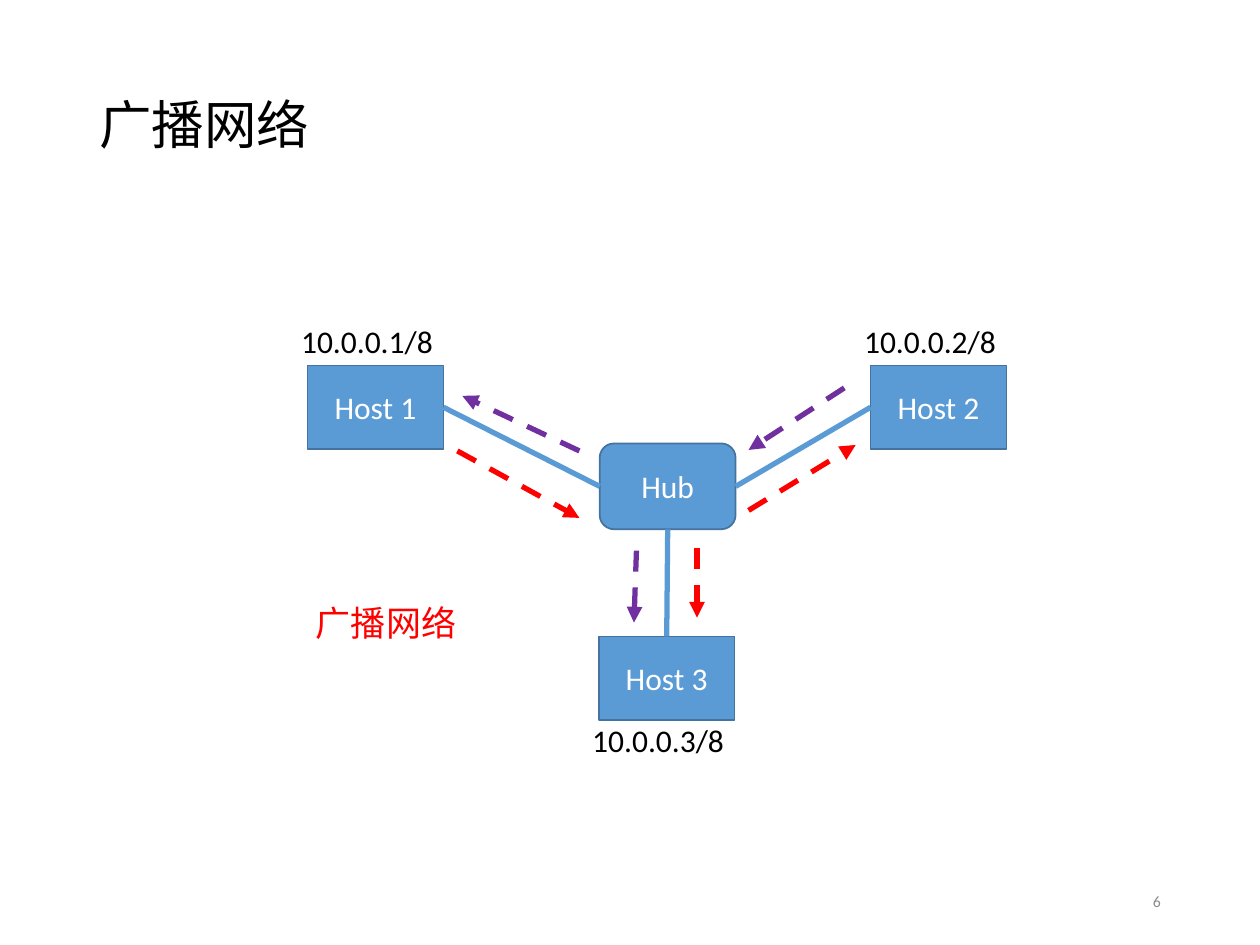
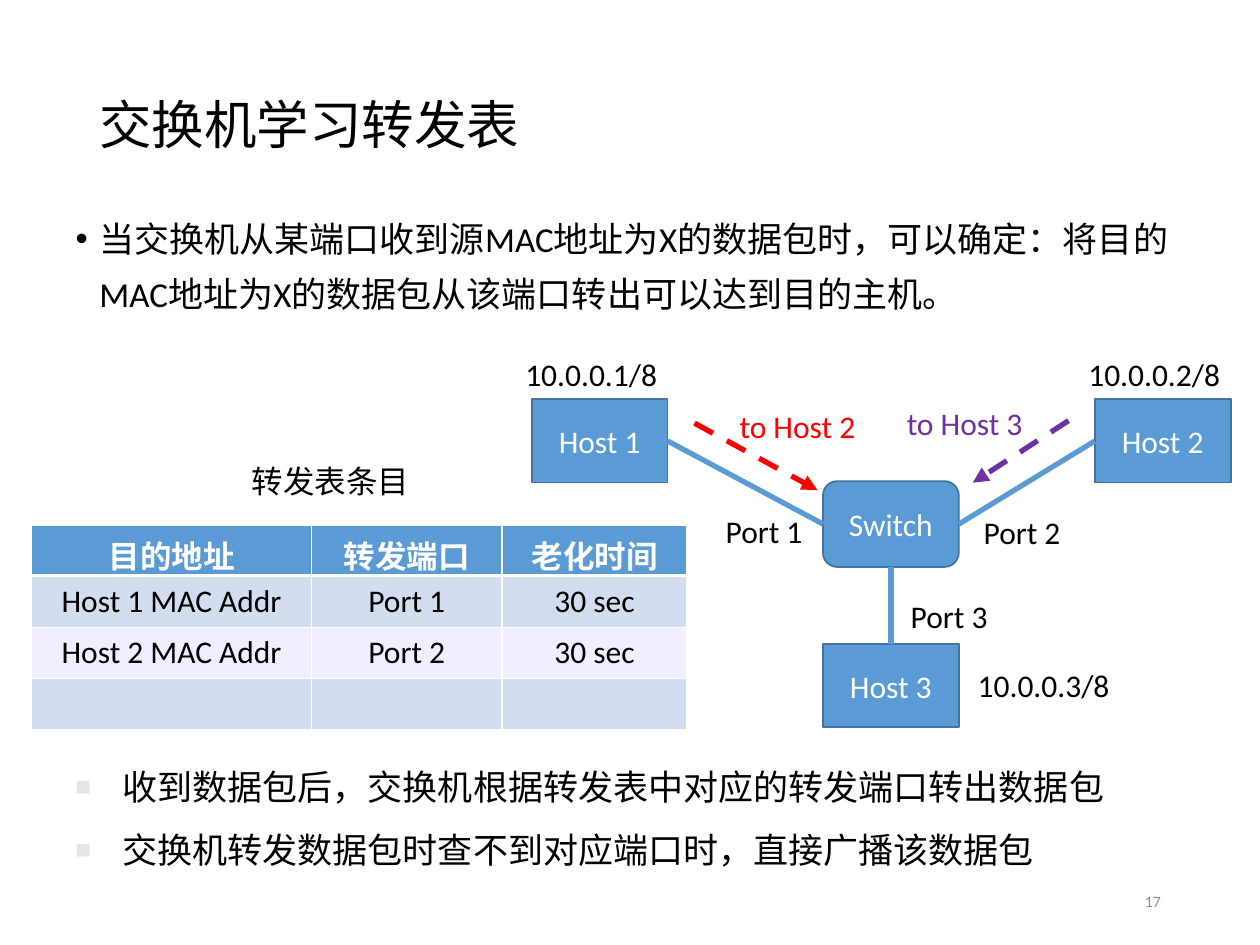
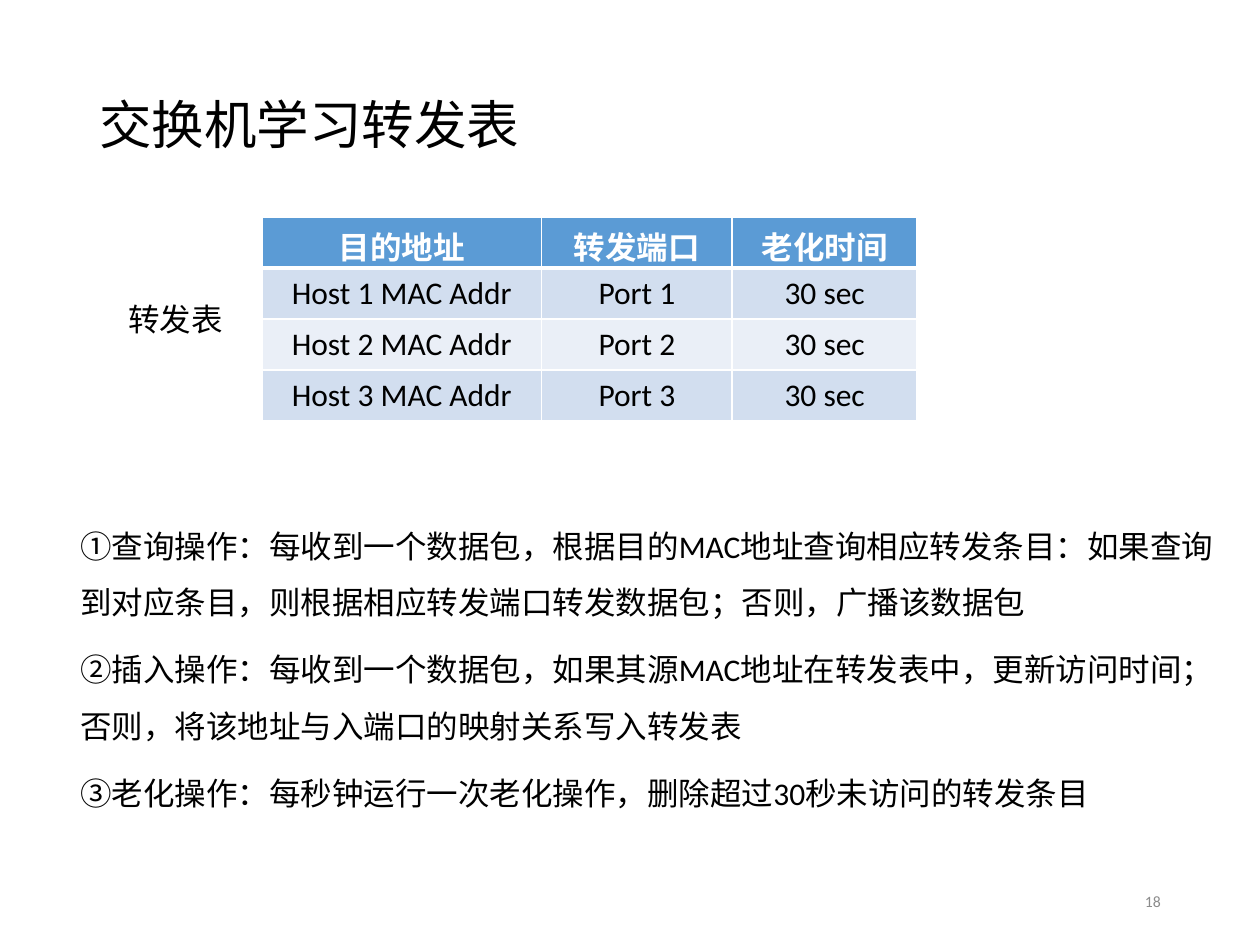
from dataclasses import dataclass

from lxml.etree import SubElement
from pptx import Presentation
from pptx.dml.color import RGBColor
from pptx.enum.dml import MSO_LINE
from pptx.enum.shapes import MSO_CONNECTOR, MSO_SHAPE
from pptx.enum.text import MSO_ANCHOR, MSO_AUTO_SIZE, PP_ALIGN
from pptx.oxml import parse_xml
from pptx.oxml.ns import nsdecls, qn
from pptx.util import Cm, Pt


@dataclass(frozen=True)
class Theme:
    font: str = "Calibri"
    black: str = "000000"
    white: str = "FFFFFF"
    blue: str = "5B9BD5"
    outline: str = "43739E"
    red: str = "FF0000"
    purple: str = "7030A0"
    grey: str = "8C8C8C"
    bullet: str = "E7E6E6"
    band_dark: str = "D2DEEF"
    band_light: str = "EAEFF7"
    band_lilac: str = "EFEFFF"
    title_size: int = 30
    body_size: int = 20
    label_size: int = 18
    number_size: int = 9


THEME = Theme()

# Shared places, in centimetres: left, top, width, height
TITLE_BOX = (1.75, 1.02, 21.89, 3.12)
NUMBER_BOX = (17.93, 17.65, 5.72, 1.02)
HOST_SIZE = (2.74, 1.68)
CENTRE_SIZE = (2.74, 1.73)
ADDRESS_WIDTH = 3.2
LABEL_HEIGHT = 1.02
COLUMN_WIDTHS = (5.64, 3.84, 3.73)
ROW_HEIGHT = 1.03

# Content: hosts are name, address, position, offset of the address
BROADCAST_NETWORK = {
    "centre": ("Hub", (12.09, 8.94)),
    "hosts": [
        ("Host 1", "10.0.0.1/8", (6.2, 7.37), (-0.38, -1.0)),
        ("Host 2", "10.0.0.2/8", (17.55, 7.37), (-0.38, -1.0)),
        ("Host 3", "10.0.0.3/8", (12.07, 12.83), (-0.38, 1.58)),
    ],
    "arrows": {
        THEME.red: [(9.22, 9.09, 11.68, 10.44), (15.09, 10.29, 17.25, 8.97),
                    (14.05, 11.05, 14.05, 12.45)],
        THEME.purple: [(17.02, 7.82, 15.09, 9.07), (12.83, 11.1, 12.78, 12.55),
                       (11.68, 9.09, 9.32, 7.98)],
    },
}
SWITCH_NETWORK = {
    "centre": ("Switch", (16.59, 9.7)),
    "hosts": [
        ("Host 1", "10.0.0.1/8", (10.72, 8.05), (-0.38, -1.02)),
        ("Host 2", "10.0.0.2/8", (22.07, 8.05), (-0.38, -1.02)),
        ("Host 3", "10.0.0.3/8", (16.59, 12.98), (2.87, 0.33)),
    ],
    "arrows": {
        THEME.red: [(14.0, 8.53, 16.48, 9.88)],
        THEME.purple: [(21.54, 8.48, 19.61, 9.73)],
    },
}
# Labels are text, left, top, width, colour
SWITCH_LABELS = [
    ("to Host 2", 14.66, 8.08, 2.87, THEME.red),
    ("to Host 3", 18.03, 8.03, 2.87, THEME.purple),
    ("Port 1", 14.38, 10.19, 2.08, THEME.black),
    ("Port 2", 19.58, 10.21, 2.08, THEME.black),
    ("Port 3", 18.11, 11.91, 2.08, THEME.black),
    ("转发表条目", 4.83, 9.19, 3.71, THEME.black),
]
LEARNING_TITLE = "交换机学习转发表"
LEARNING_RULE = ("当交换机从某端口收到源MAC地址为X的数据包时，可以确定："
                 "将目的MAC地址为X的数据包从该端口转出可以达到目的主机。")
FORWARDING_RULES = [
    "收到数据包后，交换机根据转发表中对应的转发端口转出数据包",
    "交换机转发数据包时查不到对应端口时，直接广播该数据包",
]
TABLE_HEADER = ("目的地址", "转发端口", "老化时间")
TABLE_ENTRIES = [(f"Host {n} MAC Addr", f"Port {n}", "30 sec") for n in (1, 2, 3)]
EMPTY_ENTRY = ("", "", "")
TABLE_BANDS = [THEME.blue, THEME.band_dark, THEME.band_light, THEME.band_dark]
OPERATIONS = [
    "①查询操作：每收到一个数据包，根据目的MAC地址查询相应转发条目："
    "如果查询到对应条目，则根据相应转发端口转发数据包；否则，广播该数据包",
    "②插入操作：每收到一个数据包，如果其源MAC地址在转发表中，更新访问时间；"
    "否则，将该地址与入端口的映射关系写入转发表",
    "③老化操作：每秒钟运行一次老化操作，删除超过30秒未访问的转发条目",
]


# Text
def rgb(colour):
    return RGBColor.from_string(colour)


def place(shape, box):
    shape.left, shape.top, shape.width, shape.height = (Cm(value) for value in box)


def write(frame, lines, size=THEME.label_size, colour=THEME.black, bold=False,
          align=PP_ALIGN.LEFT, line_spacing=1.0, space_before=0):
    for index, line in enumerate(lines):
        paragraph = frame.add_paragraph() if index else frame.paragraphs[0]
        paragraph.text = line
        paragraph.alignment = align
        paragraph.line_spacing = line_spacing
        paragraph.space_before = Pt(space_before)
        font = paragraph.font
        font.name, font.size, font.bold = THEME.font, Pt(size), bold
        font.color.rgb = rgb(colour)


def add_text(slide, lines, box, wrap=True, **style):
    frame = slide.shapes.add_textbox(*(Cm(value) for value in box)).text_frame
    frame.word_wrap = wrap
    write(frame, lines, **style)
    return frame


def add_label(slide, text, left, top, width, colour=THEME.black,
              size=THEME.label_size, height=LABEL_HEIGHT):
    add_text(slide, [text], (left, top, width, height), wrap=False,
             colour=colour, size=size)


def set_bullets(frame, character, indent, colour=None, percent=100):
    for paragraph in frame.paragraphs:
        properties = paragraph._p.get_or_add_pPr()
        properties.set("marL", str(Cm(indent)))
        properties.set("indent", str(-Cm(indent)))
        parts = [f'<a:buSzPct {nsdecls("a")} val="{percent * 1000}"/>',
                 f'<a:buFont {nsdecls("a")} typeface="Arial"/>',
                 f'<a:buChar {nsdecls("a")} char="{character}"/>']
        if colour:
            parts.insert(0, f'<a:buClr {nsdecls("a")}><a:srgbClr val="{colour}"/></a:buClr>')
        defaults = properties.find(qn("a:defRPr"))
        for part in parts:
            defaults.addprevious(parse_xml(part))


# Slide frame
def add_slide(presentation, title, number, layout="Title Only"):
    slide = presentation.slides.add_slide(presentation.slide_layouts.get_by_name(layout))
    place(slide.shapes.title, TITLE_BOX)
    frame = slide.shapes.title.text_frame
    frame.vertical_anchor = MSO_ANCHOR.MIDDLE
    write(frame, [title], size=THEME.title_size, line_spacing=0.9)
    number_frame = add_text(slide, [str(number)], NUMBER_BOX, size=THEME.number_size,
                            colour=THEME.grey, align=PP_ALIGN.RIGHT)
    number_frame.vertical_anchor = MSO_ANCHOR.MIDDLE
    return slide


# Network diagram
def add_node(slide, name, position, size, kind=MSO_SHAPE.RECTANGLE):
    node = slide.shapes.add_shape(kind, *(Cm(value) for value in position + size))
    node.shadow.inherit = False
    node.fill.solid()
    node.fill.fore_color.rgb = rgb(THEME.blue)
    node.line.color.rgb = rgb(THEME.outline)
    node.line.width = Pt(1)
    node.text_frame.vertical_anchor = MSO_ANCHOR.MIDDLE
    write(node.text_frame, [name], colour=THEME.white, align=PP_ALIGN.CENTER)
    return node


def add_line(slide, colour, ends=(0, 0, 0, 0)):
    line = slide.shapes.add_connector(MSO_CONNECTOR.STRAIGHT, *(Cm(value) for value in ends))
    line.line.color.rgb = rgb(colour)
    line.line.width = Pt(3)
    SubElement(line._element.spPr, qn("a:effectLst"))
    return line


def add_arrow(slide, colour, ends):
    arrow = add_line(slide, colour, ends)
    arrow.line.dash_style = MSO_LINE.DASH
    SubElement(arrow.line._get_or_add_ln(), qn("a:tailEnd"), type="triangle")


def add_network(slide, network):
    name, position = network["centre"]
    centre = add_node(slide, name, position, CENTRE_SIZE, MSO_SHAPE.ROUNDED_RECTANGLE)
    # Sides of the centre and of each host that a link joins
    sides = [(1, 3), (3, 1), (2, 0)]
    for (host_name, address, (left, top), (shift_x, shift_y)), (centre_side, host_side) in zip(
            network["hosts"], sides):
        host = add_node(slide, host_name, (left, top), HOST_SIZE)
        add_label(slide, address, left + shift_x, top + shift_y, ADDRESS_WIDTH)
        link = add_line(slide, THEME.blue)
        link.begin_connect(centre, centre_side)
        link.end_connect(host, host_side)
    for colour, arrows in network["arrows"].items():
        for ends in arrows:
            add_arrow(slide, colour, ends)


# Forwarding table
def set_borders(cell, top, bottom):
    properties = cell._tc.get_or_add_tcPr()
    widths = {"lnL": 1, "lnR": 1, "lnT": top, "lnB": bottom}
    for index, (side, width) in enumerate(widths.items()):
        properties.insert(index, parse_xml(
            f'<a:{side} {nsdecls("a")} w="{Pt(width)}"><a:solidFill>'
            f'<a:srgbClr val="{THEME.white}"/></a:solidFill></a:{side}>'))


def add_forwarding_table(slide, rows, bands, left, top, header=True):
    table = slide.shapes.add_table(
        len(rows), len(COLUMN_WIDTHS), Cm(left), Cm(top),
        Cm(sum(COLUMN_WIDTHS)), Cm(ROW_HEIGHT * len(rows))).table
    table.first_row, table.horz_banding = header, False
    for column, width in zip(table.columns, COLUMN_WIDTHS):
        column.width = Cm(width)
    for row_index, (values, band) in enumerate(zip(rows, bands)):
        table.rows[row_index].height = Cm(ROW_HEIGHT)
        is_header = header and row_index == 0
        for cell, value in zip(table.rows[row_index].cells, values):
            cell.fill.solid()
            cell.fill.fore_color.rgb = rgb(band)
            set_borders(cell, top=3 if header and row_index == 1 else 1,
                        bottom=3 if is_header else 1)
            write(cell.text_frame, [value], bold=is_header, align=PP_ALIGN.CENTER,
                  colour=THEME.white if is_header else THEME.black)


# Slides
def build_broadcast_slide(presentation):
    slide = add_slide(presentation, "广播网络", 6)
    add_network(slide, BROADCAST_NETWORK)
    add_label(slide, "广播网络", 6.12, 12.01, 3.35, THEME.red, THEME.body_size, 1.12)


def build_learning_slide(presentation):
    slide = add_slide(presentation, LEARNING_TITLE, 17, "Title and Content")
    body = slide.placeholders[1]
    place(body, (1.27, 4.01, 22.86, 4.37))
    body.text_frame.auto_size = MSO_AUTO_SIZE.NONE
    write(body.text_frame, [LEARNING_RULE], size=THEME.body_size,
          line_spacing=1.3, space_before=7.5)
    set_bullets(body.text_frame, "•", 0.48)

    # The learned entries lie over the empty table
    left, top = 0.64, 10.59
    add_forwarding_table(slide, [TABLE_HEADER] + [EMPTY_ENTRY] * 3, TABLE_BANDS, left, top)
    for index, band in enumerate((THEME.band_dark, THEME.band_lilac)):
        add_forwarding_table(slide, [TABLE_ENTRIES[index]], [band], left,
                             top + ROW_HEIGHT * (index + 1), header=False)

    rules = add_text(slide, FORWARDING_RULES, (1.27, 14.88, 22.86, 4.17),
                     size=THEME.body_size, line_spacing=1.5)
    set_bullets(rules, "■", 0.95, THEME.bullet, 75)
    add_network(slide, SWITCH_NETWORK)
    for label in SWITCH_LABELS:
        add_label(slide, *label)


def build_operations_slide(presentation):
    slide = add_slide(presentation, LEARNING_TITLE, 18)
    add_forwarding_table(slide, [TABLE_HEADER] + TABLE_ENTRIES, TABLE_BANDS, 5.28, 4.37)
    add_label(slide, "转发表", 2.34, 5.92, 2.44)
    add_text(slide, OPERATIONS, (1.37, 10.11, 23.44, 6.32),
             line_spacing=1.5, space_before=6)


def main():
    presentation = Presentation()
    presentation.slide_width, presentation.slide_height = Cm(25.4), Cm(19.05)
    build_broadcast_slide(presentation)
    build_learning_slide(presentation)
    build_operations_slide(presentation)
    presentation.save("out.pptx")


if __name__ == "__main__":
    main()
